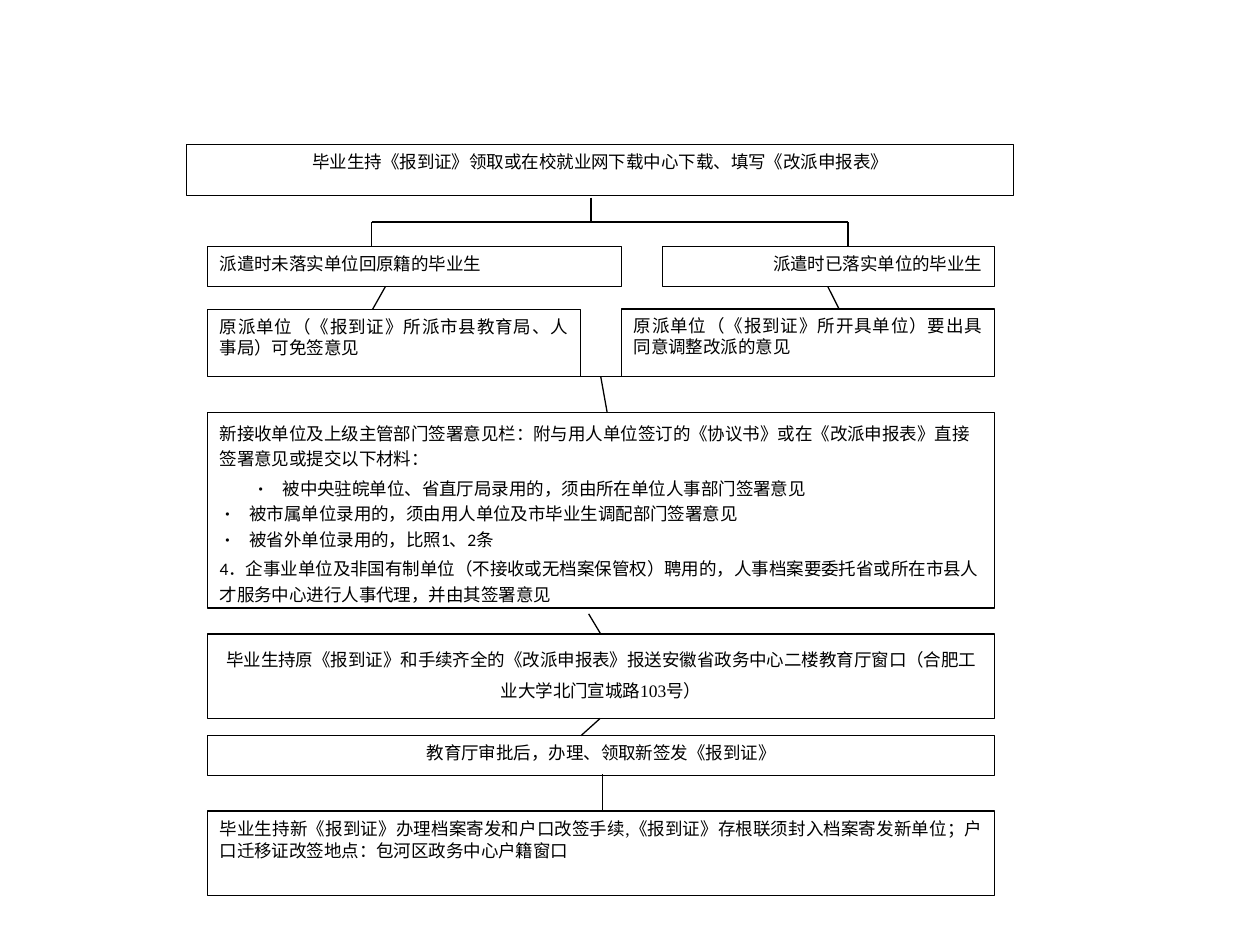
from lxml.etree import SubElement
from pptx import Presentation
from pptx.dml.color import RGBColor
from pptx.enum.shapes import MSO_CONNECTOR, MSO_SHAPE
from pptx.enum.text import MSO_ANCHOR, PP_ALIGN
from pptx.oxml.ns import qn
from pptx.util import Pt

LEFT, WIDTH = 118.4, 450
BUS_LEFT, BUS_RIGHT, BUS_TOP = 212.4, 484.6, 126.9


def color(value):
    return RGBColor.from_string(value)


def add_bullet(paragraph, margin, hanging):
    properties = paragraph._p.get_or_add_pPr()
    properties.set("marL", str(Pt(margin)))
    properties.set("indent", str(-Pt(hanging)))
    bullet_color = SubElement(properties, qn("a:buClr"))
    SubElement(bullet_color, qn("a:srgbClr")).set("val", "000000")
    SubElement(properties, qn("a:buSzPct")).set("val", "90000")
    SubElement(properties, qn("a:buFont")).set("typeface", "Noto Sans CJK SC")
    SubElement(properties, qn("a:buChar")).set("char", "・")


def text(*parts, align=PP_ALIGN.LEFT, spacing=None, bullet_margin=None, font="Calibri"):
    """Describe a paragraph; a part is a string or a (string, font) pair."""
    runs = [(part, font) if isinstance(part, str) else part for part in parts]
    return {"runs": runs, "align": align, "spacing": spacing,
            "bullet_margin": bullet_margin}


class FlowChart:
    ink, paper = "000000", "FFFFFF"
    line_width, size, space_before, hanging = 0.75, 10, 2.5, 17

    def __init__(self, slide):
        self.slide = slide

    def box(self, left, top, width, height, *paragraphs):
        shape = self.slide.shapes.add_shape(
            MSO_SHAPE.RECTANGLE, Pt(left), Pt(top), Pt(width), Pt(height))
        shape.shadow.inherit = False
        shape.fill.solid()
        shape.fill.fore_color.rgb = color(self.paper)
        shape.line.color.rgb = color(self.ink)
        shape.line.width = Pt(self.line_width)
        frame = shape.text_frame
        frame.word_wrap = True
        frame.vertical_anchor = MSO_ANCHOR.TOP
        for index, content in enumerate(paragraphs):
            paragraph = frame.add_paragraph() if index else frame.paragraphs[0]
            self.fill_paragraph(paragraph, content, self.space_before if index else 0)

    def fill_paragraph(self, paragraph, content, space_before):
        paragraph.alignment = content["align"]
        paragraph.space_before = Pt(space_before)
        if content["spacing"]:
            paragraph.line_spacing = content["spacing"]
        if content["bullet_margin"]:
            add_bullet(paragraph, content["bullet_margin"], self.hanging)
        for words, font in content["runs"]:
            run = paragraph.add_run()
            run.text = words
            run.font.name = font
            run.font.size = Pt(self.size)
            run.font.color.rgb = color(self.ink)

    def line(self, x1, y1, x2, y2):
        connector = self.slide.shapes.add_connector(
            MSO_CONNECTOR.STRAIGHT, Pt(x1), Pt(y1), Pt(x2), Pt(y2))
        connector.line.color.rgb = color(self.ink)
        connector.line.width = Pt(self.line_width)
        SubElement(connector._element.spPr, qn("a:effectLst"))


def main():
    presentation = Presentation()
    presentation.slide_width, presentation.slide_height = Pt(720), Pt(540)
    chart = FlowChart(presentation.slides.add_slide(presentation.slide_layouts[6]))
    center, right, justify = PP_ALIGN.CENTER, PP_ALIGN.RIGHT, PP_ALIGN.JUSTIFY

    chart.box(106.6, 82.8, 472.6, 28.8, text(
        "毕业生持《报到证》领取或在校就业网下载中心下载、填写《改派申报表》", align=center))
    chart.box(LEFT, 140.9, 236.6, 22.8, text("派遣时未落实单位回原籍的毕业生", align=justify))
    chart.box(378.7, 140.9, 189.6, 22.8, text("派遣时已落实单位的毕业生", align=right))
    chart.box(LEFT, 177, 213.3, 38.2, text(
        "原派单位（《报到证》所派市县教育局、人事局）可免签意见", align=justify))
    chart.box(355, 176.6, 213.3, 38.6, text(
        "原派单位（《报到证》所开具单位）要出具同意调整改派的意见", align=justify))
    chart.box(
        LEFT, 235.9, WIDTH, 111.6,
        text("新接收单位及上级主管部门签署意见栏：附与用人单位签订的《协议书》"
             "或在《改派申报表》直接签署意见或提交以下材料：", spacing=1.2),
        text("被中央驻皖单位、省直厅局录用的，须由所在单位人事部门签署意见",
             spacing=1.2, bullet_margin=36),
        text("被市属单位录用的，须由用人单位及市毕业生调配部门签署意见", bullet_margin=17),
        text("被省外单位录用的，比照1、2条", bullet_margin=17),
        text("4．企事业单位及非国有制单位（不接收或无档案保管权）聘用的，"
             "人事档案要委托省或所在市县人才服务中心进行人事代理，并由其签署意见", spacing=1.2))
    chart.box(LEFT, 362.3, WIDTH, 48.2, text(
        "毕业生持原《报到证》和手续齐全的《改派申报表》报送安徽省政务中心二楼教育厅窗口"
        "（合肥工业大学北门宣城路103号）",
        align=center, spacing=1.44, font="Times New Roman"))
    chart.box(LEFT, 420.4, WIDTH, 22.8, text(
        "教育厅审批后，办理、领取新签发《报到证》", align=center))
    chart.box(LEFT, 463.5, WIDTH, 48.2, text(
        "毕业生持新《报到证》办理档案寄发和户口改签手续", (",", "Times New Roman"),
        "《报到证》存根联须封入档案寄发新单位；户口迁移证改签地点：",
        ("包河区政务中心户籍窗口", "Noto Sans CJK SC"), align=justify, spacing=1.04))

    chart.line(BUS_LEFT, BUS_TOP, BUS_RIGHT, BUS_TOP)
    chart.line(337.8, 113, 337.8, BUS_TOP)
    for x in (BUS_LEFT, BUS_RIGHT):
        chart.line(x, BUS_TOP, x, 140.9)
    for ends in (
        (220.3, 163.7, 213, 176.6),
        (473, 163.7, 479.5, 176.6),
        (201.4, 215.2, 473.6, 215.2),
        (343.3, 215.2, 347, 235.9),
        (336.4, 350.8, 343.3, 362.3),
        (343, 410.5, 332, 420.4),
        (344.2, 442.3, 344.2, 463),
    ):
        chart.line(*ends)
    presentation.save("out.pptx")


if __name__ == "__main__":
    main()
